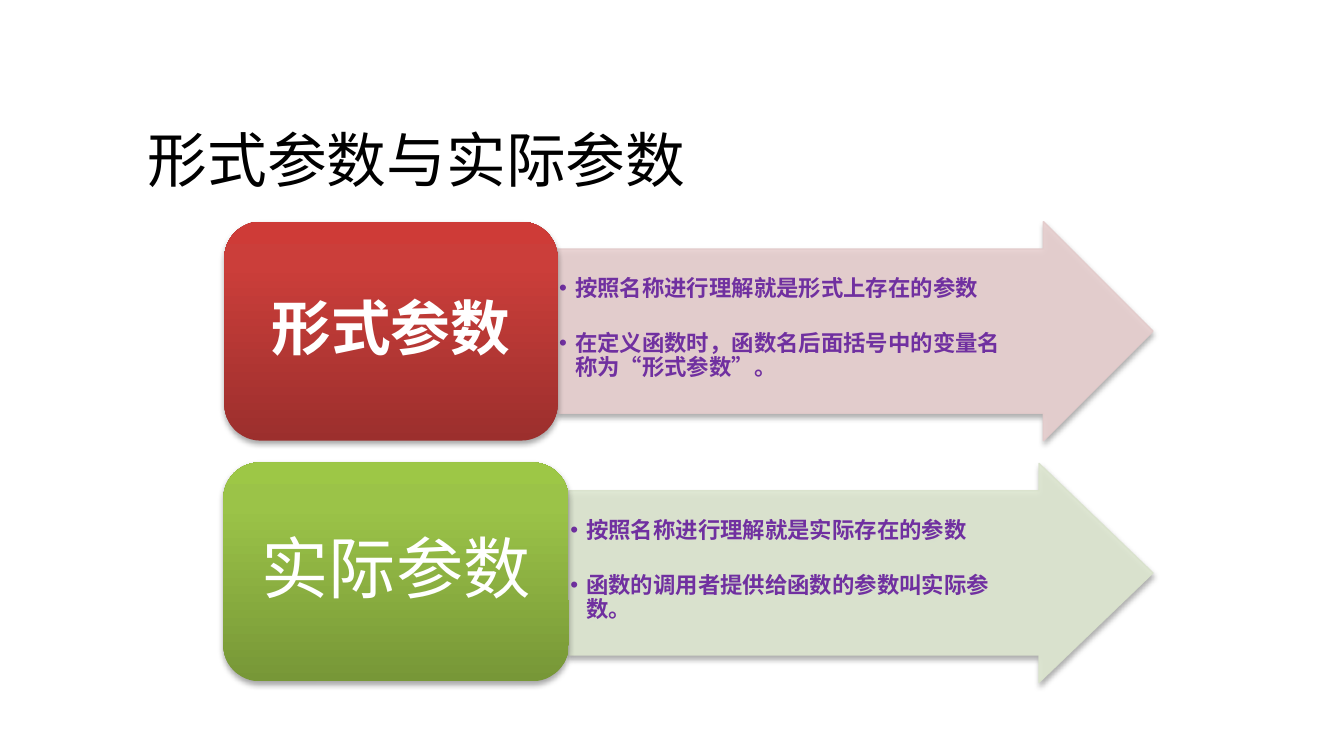
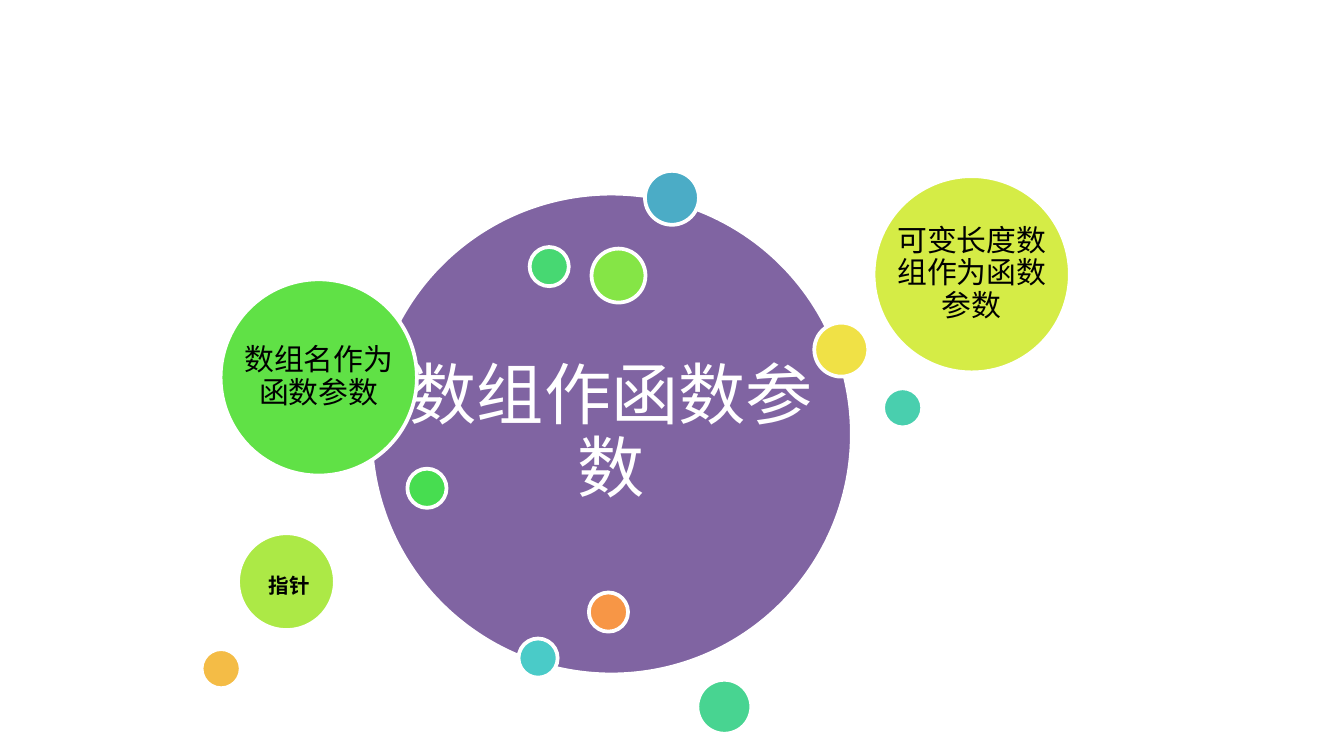
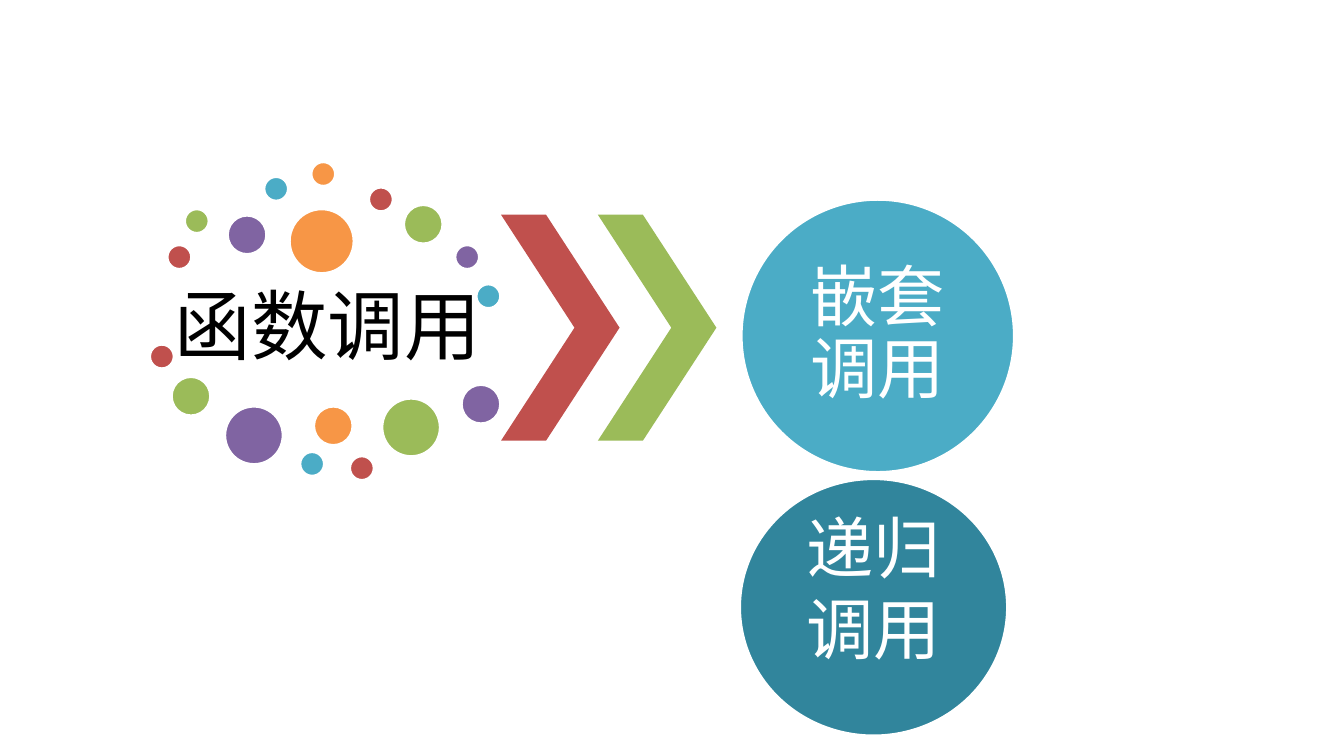
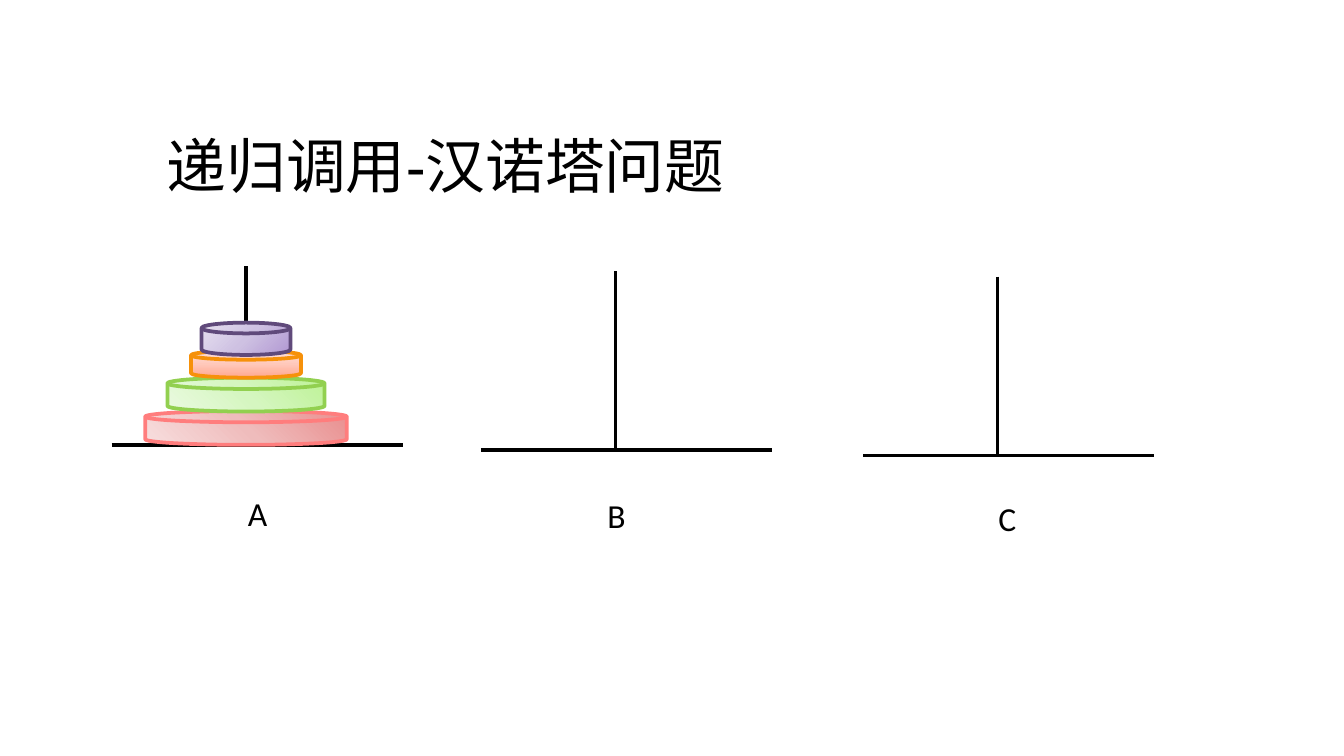
"""Builds four slides on function parameters, calls and recursion."""
from itertools import cycle
from pptx import Presentation, util as u
from pptx.dml.color import RGBColor
from pptx.enum import shapes as sh, text as tx
from pptx.oxml.ns import qn
from lxml import etree

KIND = sh.MSO_SHAPE
RED, LIME, PLUM, AQUA, GOLD = THEME = "C0504D", "9BBB59", "8064A2", "4BACC6", "F79646"
WHITE, BLACK, VIOLET = "FFFFFF", "000000", "7030A0"
EDGE = 2
LEAD = 0.9

HEADS = {
    "terms": ("形式参数与实际参数", (2.54, 1.8, 18.85, 2.39), "Calibri"),
    "hanoi": ("递归调用-汉诺塔问题", (2.9, 2.29, 14.17, 1.63), "Arial"),
}

TERMS = [
    {"name": "形式参数", "size": 32, "bold": True, "box": (4.24, 4.19, 6.3), "end": 21.79,
     "top": 4.19, "head": 0.5, "tint": "E8D0D0", "rim": "E3CBCB",
     "ramp": [(0, "9C2F2D"), (80, "CB3E3A"), (100, "CE3B37")],
     "notes": ["按照名称进行理解就是形式上存在的参数",
               "在定义函数时，函数名后面括号中的变量名称为“形式参数”。"]},
    {"name": "实际参数", "size": 36, "bold": False, "box": (4.22, 8.74, 6.53), "end": 21.79,
     "top": 8.76, "head": 0.52, "tint": "DEE7D1", "rim": "D9E2CC",
     "ramp": [(0, "779737"), (80, "9BC348"), (100, "9DC746")],
     "notes": ["按照名称进行理解就是实际存在的参数",
               "函数的调用者提供给函数的参数叫实际参数。"]},
]
TERM_H = 4.14

BIG, MID, SMALL, TINY = 9.09, 3.71, 1.02, 0.74
BUBBLES = [
    (7.01, 3.66, BIG, PLUM, "数组作函数参数"), (12.19, 3.23, SMALL, AQUA, ""),
    (9.8, 12.07, TINY, "4ACBC8", ""), (16.69, 7.34, TINY, "49CFAE", ""),
    (13.18, 12.85, SMALL, "48D491", ""), (10.01, 4.67, TINY, "47D872", ""),
    (7.7, 8.86, TINY, "47DD50", ""), (4.17, 5.28, MID, "60E146", "数组名作为函数参数"),
    (11.18, 4.7, SMALL, "85E546", ""), (4.5, 10.08, 1.83, "ACE946", ""),
    (16.51, 3.33, MID, "D5EC46", "可变长度数组作为函数参数"),
    (15.39, 6.1, SMALL, "F0E146", ""), (3.81, 12.27, TINY, "F4BC46", ""),
    (11.13, 11.2, TINY, GOLD, ""),
]
BUBBLE_TEXT = {BIG: (36, WHITE, 0.38), MID: (16, BLACK, 0.18)}
POINTER = "指针", (4.62, 10.74, 1.7, 0.64)

CALL = "函数调用", (3.15, 5.23, 6.1, 2.01)
DOTS = [
    (3.15, 4.62, 0.48), (3.48, 3.94, 0.48), (4.29, 4.06, 0.76), (4.98, 3.33, 0.48),
    (5.87, 3.05, 0.48), (6.96, 3.53, 0.48), (7.62, 3.86, 0.76), (8.59, 4.62, 0.48),
    (8.99, 5.36, 0.48), (5.46, 3.94, 1.24), (2.82, 6.5, 0.48), (3.23, 7.11, 0.76),
    (4.24, 7.67, 1.12), (5.66, 8.53, 0.48), (5.92, 7.67, 0.76), (6.6, 8.61, 0.48),
    (7.21, 7.52, 1.12), (8.71, 7.26, 0.76),
]
CHEVRONS = [(9.47, RED), (11.3, LIME)]
MODES = [
    ("嵌套调用", (14.0, 3.76, 5.18, 5.18), AQUA, (0, 0, 0, 0), LEAD),
    ("递归调用", (13.97, 9.04, 5.08, 4.88), "31859C", (0.25, 0.13, 0.25, 0.9), None),
]

PEGS = [("A", 4.65, 8.41, 3.18, 9.27), ("B", 11.63, 8.51, 9.96, 9.32),
        ("C", 18.85, 8.61, 17.35, 9.37)]
POLE, REACH, BASE = 3.38, 2.54, 5.5
DISKS = [
    (7.77, 3.81, 0.64, "FF7D7D", 135, ("E98F8F", "EFBCBC", "F7DEDE")),
    (7.14, 2.97, 0.64, "92D050", 135, ("BEF297", "D5F6C0", "EAFAE0")),
    (6.63, 2.08, 0.51, "F6910A", 270, ("FFA78E", "FFC8BA", "FFE3DD")),
    (6.1, 1.68, 0.61, "604A7B", 225, ("B197D2", "CEC1E2", "E7E1F0")),
]


def rgb(code):
    """Turn a hex string into a colour."""
    return RGBColor.from_string(code)


def cms(nums):
    """Turn numbers into centimetre lengths."""
    return [u.Cm(n) for n in nums]


def put(item, **fmt):
    """Set each named attribute on an item."""
    for key, val in fmt.items():
        setattr(item, key, val)


def sub(node, tag, **attrs):
    """Append a drawing element and return it."""
    return etree.SubElement(node, qn("a:" + tag), attrs)


def write(shape, lines, size, color=BLACK, font="Calibri", bold=False, pad=(0.25, 0.13, 0.25, 0.13),
          align="CENTER", anchor="MIDDLE", lead=None, gap=0, mark=False):
    """Write paragraphs into a shape."""
    frame = shape.text_frame
    left, top, right, low = cms(pad)
    put(frame, word_wrap=True, vertical_anchor=getattr(tx.MSO_ANCHOR, anchor),
        margin_left=left, margin_top=top, margin_right=right, margin_bottom=low)
    for i, line in enumerate(lines):
        para = frame.add_paragraph() if i else frame.paragraphs[0]
        if mark:
            props = para._p.get_or_add_pPr()
            props.set("marL", str(u.Cm(0.3)))
            props.set("indent", str(u.Cm(-0.3)))
            sub(props, "buFont", typeface="Arial")
            sub(props, "buChar", char="•")
        put(para, alignment=getattr(tx.PP_ALIGN, align), line_spacing=lead)
        if i and gap:
            para.space_before = u.Pt(gap)
        run = para.add_run()
        run.text = line
        put(run.font, size=u.Pt(size), name=font, bold=bold)
        run.font.color.rgb = rgb(color)


def label(slide, words, area, size, **fmt):
    """Add a text box."""
    write(slide.shapes.add_textbox(*cms(area)), [words], size, **fmt)


def draw(slide, kind, area, fill=None, line=None, width=EDGE, adjust=()):
    """Add a preset shape with a plain fill and line."""
    shape = slide.shapes.add_shape(kind, *cms(area))
    shape.shadow.inherit = False
    for i, val in enumerate(adjust):
        shape.adjustments[i] = val
    if fill:
        shape.fill.solid()
        shape.fill.fore_color.rgb = rgb(fill)
    if line:
        shape.line.color.rgb = rgb(line)
        shape.line.width = u.Pt(width)
    else:
        shape.line.fill.background()
    return shape


def blend(shape, stops, angle):
    """Fill a shape with a linear gradient."""
    shape.fill.gradient()
    grad = shape._element.spPr.find(qn("a:gradFill"))
    group = grad.find(qn("a:gsLst"))
    for old in list(group):
        group.remove(old)
    for pos, code in stops:
        sub(sub(group, "gs", pos=str(pos * 1000)), "srgbClr", val=code)
    grad.find(qn("a:lin")).set("ang", str(angle * 60000))


def fade(shape, part):
    """Make fill and line partly clear."""
    for node in list(shape._element.spPr.iter(qn("a:srgbClr"))):
        sub(node, "alpha", val=str(part * 1000))


def shade(shape):
    """Give a shape a soft shadow below."""
    glow = sub(shape._element.spPr.find(qn("a:effectLst")), "outerShdw", blurRad=str(u.Pt(3.1)),
               dist=str(u.Pt(1.8)), dir="5400000", rotWithShape="0")
    sub(sub(glow, "srgbClr", val=BLACK), "alpha", val="35000")


def rule(slide, *ends):
    """Draw a straight black line."""
    line = slide.shapes.add_connector(sh.MSO_CONNECTOR.STRAIGHT, *cms(ends))
    line.line.color.rgb = rgb(BLACK)
    line.line.width = u.Pt(EDGE)
    sub(line._element.spPr, "effectLst")


def title(slide, key):
    """Add a slide title."""
    words, area, font = HEADS[key]
    label(slide, words, area, 32, font=font, align="LEFT")


def terms(slide):
    """Draw each term with its arrow of notes."""
    title(slide, "terms")
    for term in TERMS:
        left, top, wide = term["box"]
        start = left + wide
        arrow = draw(slide, KIND.RIGHT_ARROW, (start, term["top"], term["end"] - start, TERM_H),
                     term["tint"], term["rim"], 0.75, (0.75, term["head"]))
        fade(arrow, 90)
        shade(arrow)
        write(arrow, term["notes"], 12, VIOLET, bold=True, pad=(0.03, 0.54, 1.06, 0),
              align="LEFT", anchor="TOP", lead=LEAD, gap=16.3, mark=True)
        box = draw(slide, KIND.ROUNDED_RECTANGLE, (left, top, wide, TERM_H))
        blend(box, term["ramp"], 270)
        shade(box)
        write(box, [term["name"]], term["size"], WHITE, bold=term["bold"], lead=LEAD)


def arrays(slide):
    """Draw the bubbles about arrays."""
    for left, top, size, color, words in BUBBLES:
        area = left, top, size, size
        draw(slide, KIND.OVAL, area, color, WHITE)
        if words:
            points, ink, pad = BUBBLE_TEXT[size]
            label(slide, words, area, points, color=ink, pad=[pad] * 4, lead=LEAD)
    words, area = POINTER
    label(slide, words, area, 11, bold=True)


def calls(slide):
    """Draw the ring of dots and the kinds of call."""
    words, area = CALL
    label(slide, words, area, 41, pad=[0] * 4, lead=LEAD)
    for (left, top, size), color in zip(DOTS, cycle(THEME)):
        draw(slide, KIND.OVAL, (left, top, size, size), color, WHITE)
    for left, color in CHEVRONS:
        draw(slide, KIND.CHEVRON, (left, 4.06, 2.24, 4.27), color, adjust=[0.62])
    for words, area, color, pad, lead in MODES:
        disc = draw(slide, KIND.OVAL, area, color, WHITE)
        write(disc, [words], 36, WHITE, pad=pad, lead=lead)


def hanoi(slide):
    """Draw the three pegs and the stack of disks."""
    title(slide, "hanoi")
    for name, mid, floor, left, top in PEGS:
        rule(slide, mid, floor - POLE, mid, floor)
        rule(slide, mid - REACH, floor, mid - REACH + BASE, floor)
        tag = draw(slide, KIND.RECTANGLE, (left, top, 3.38, 0.84), WHITE, WHITE)
        write(tag, [name], 18)
    mid = PEGS[0][1]
    for top, wide, high, rim, angle, tones in DISKS:
        disk = draw(slide, KIND.FLOWCHART_MAGNETIC_DISK, (mid - wide / 2, top, wide, high), line=rim)
        blend(disk, zip((0, 50, 100), tones), angle)


def main():
    """Build and save the deck."""
    deck = Presentation()
    put(deck, slide_width=u.Cm(25.4), slide_height=u.Cm(14.29))
    for build in (terms, arrays, calls, hanoi):
        build(deck.slides.add_slide(deck.slide_layouts[6]))
    deck.save("out.pptx")


if __name__ == "__main__":
    main()
